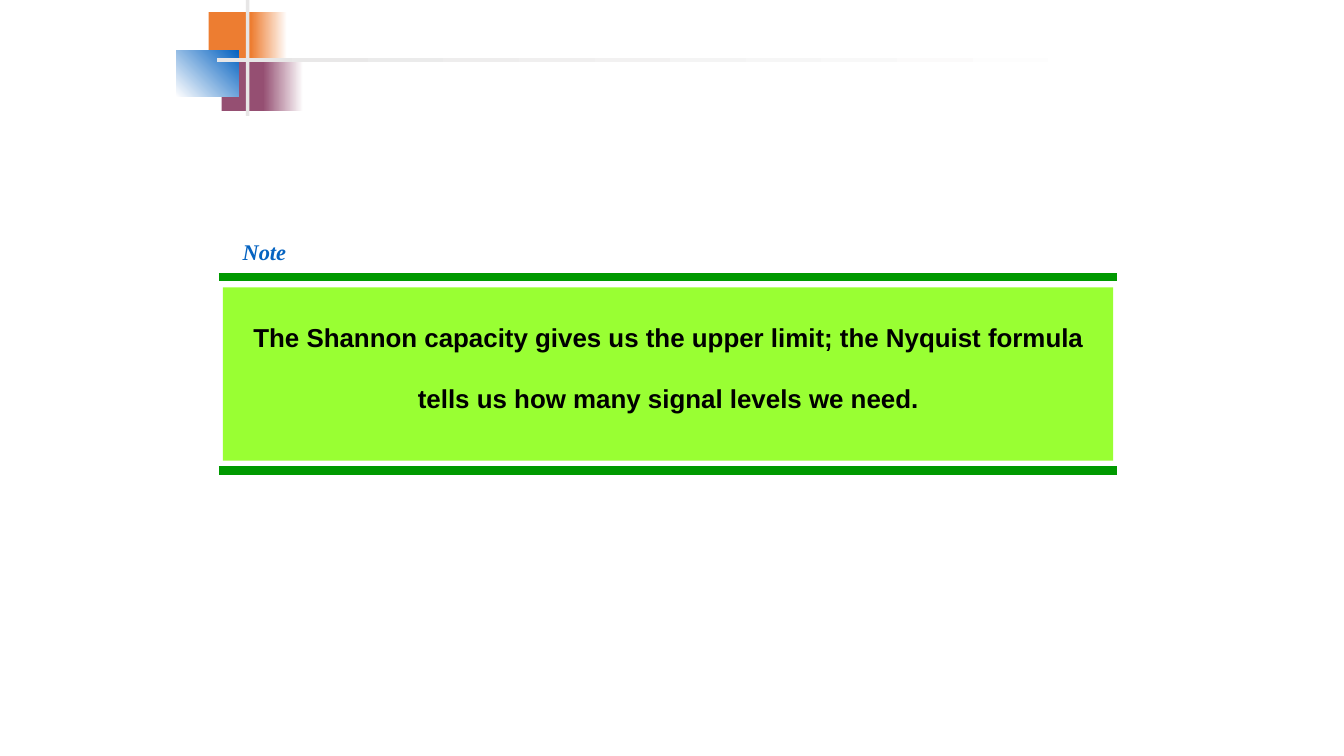
from pptx import Presentation
from pptx.dml.color import RGBColor
from pptx.enum.shapes import MSO_CONNECTOR as Connector, MSO_SHAPE as Shape
from pptx.enum.text import MSO_ANCHOR as Anchor, PP_ALIGN as Align
from pptx.oxml.ns import qn
from pptx.util import Pt
from lxml import etree

ORANGE, PLUM, BLUE = "ED7D31", "954F72", "0563C1"
WHITE, GREY = "FFFFFF", "E7E6E6"
GREEN, LIME, BLACK = "009900", "99FF33", "000000"


def color(value):
    return RGBColor.from_string(value)


def add_block(page, left, top, width, height, *colors, angle=0):
    """Borderless rectangle: one colour is solid, two make a gradient."""
    block = page.shapes.add_shape(Shape.RECTANGLE, Pt(left), Pt(top), Pt(width), Pt(height))
    block.shadow.inherit = False
    block.line.fill.background()
    if len(colors) == 1:
        block.fill.solid()
        block.fill.fore_color.rgb = color(colors[0])
    else:
        block.fill.gradient()
        block.fill.gradient_angle = angle
        for stop, value in zip(block.fill.gradient_stops, colors):
            stop.color.rgb = color(value)
    return block


def add_rule(page, left, y, width):
    rule = page.shapes.add_connector(Connector.STRAIGHT, Pt(left), Pt(y), Pt(left + width), Pt(y))
    rule.line.color.rgb = color(GREEN)
    rule.line.width = Pt(6)
    etree.SubElement(rule.element.spPr, qn("a:effectLst"))


def write(box, text, *, font, size, ink, spacing, align=Align.LEFT, italic=False, wrap=True):
    frame = box.text_frame
    frame.word_wrap = wrap
    frame.vertical_anchor = Anchor.TOP
    para = frame.paragraphs[0]
    para.alignment = align
    para.line_spacing = spacing
    span = para.add_run()
    span.text = text
    span.font.name = font
    span.font.size = Pt(size)
    span.font.bold = True
    span.font.italic = italic
    span.font.color.rgb = color(ink)


def add_ornament(page, left, top):
    # Squares that fade out to the right
    for x, y, solid, fade_x, fade, tint in (
        (23, 8.6, 34.6, 53.3, 25.9, ORANGE),
        (32.4, 41.8, 33.1, 61.9, 28.8, PLUM),
    ):
        add_block(page, left + x, top + y, solid, 37.4, tint)
        add_block(page, left + fade_x, top + y, fade, 37.4, tint, WHITE)
    add_block(page, left, top + 36, 44.6, 33.1, WHITE, BLUE, angle=45)
    # Crossing bars
    add_block(page, left + 49.7, top, 2.5, 82.8, GREY)
    add_block(page, left + 28.8, top + 41.8, 648, 2.5, GREY, WHITE)


def add_note(page, left, top, width, height):
    # Rules above and below the message
    for y in (top, top + height):
        add_rule(page, left, y, width)
    # Message panel
    panel = add_block(page, left + 3, top + 7.2, width - 6, height - 14.4, LIME)
    write(panel,
          "The Shannon capacity gives us the upper limit; "
          "the Nyquist formula tells us how many signal levels we need.",
          font="Arial", size=18.5, ink=BLACK, spacing=1.95, align=Align.CENTER)
    # Heading over the upper rule
    heading = page.shapes.add_textbox(Pt(left + 10), Pt(top - 50.4), Pt(69), Pt(41))
    write(heading, "Note", font="Times New Roman", size=16, ink=BLUE,
          spacing=2.0, italic=True, wrap=False)


def main():
    deck = Presentation()
    deck.slide_width, deck.slide_height = Pt(960), Pt(540)
    page = deck.slides.add_slide(deck.slide_layouts[6])
    add_ornament(page, 126, 0)
    add_note(page, 156.3, 198, 641.8, 138.2)
    deck.save("out.pptx")


if __name__ == "__main__":
    main()
